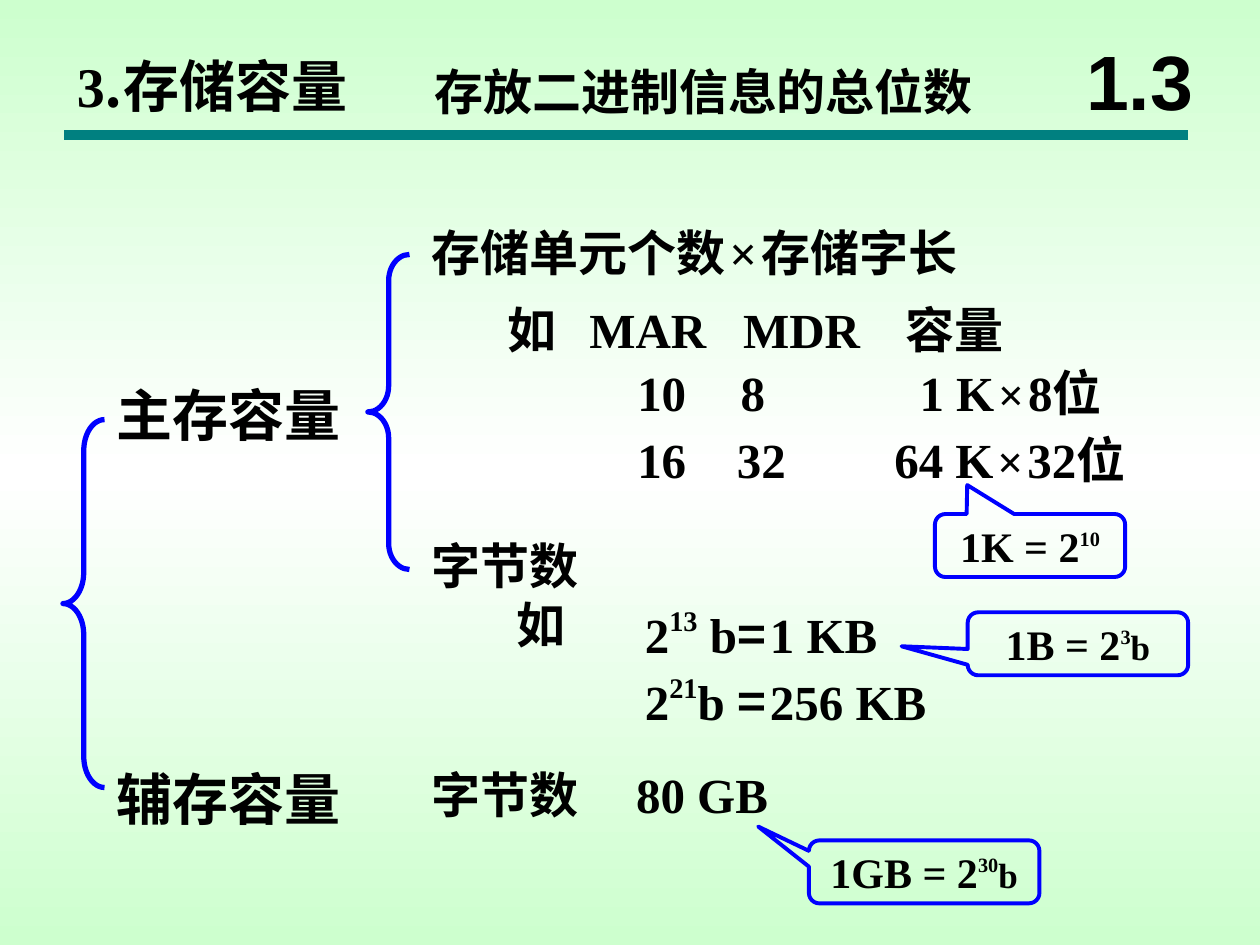
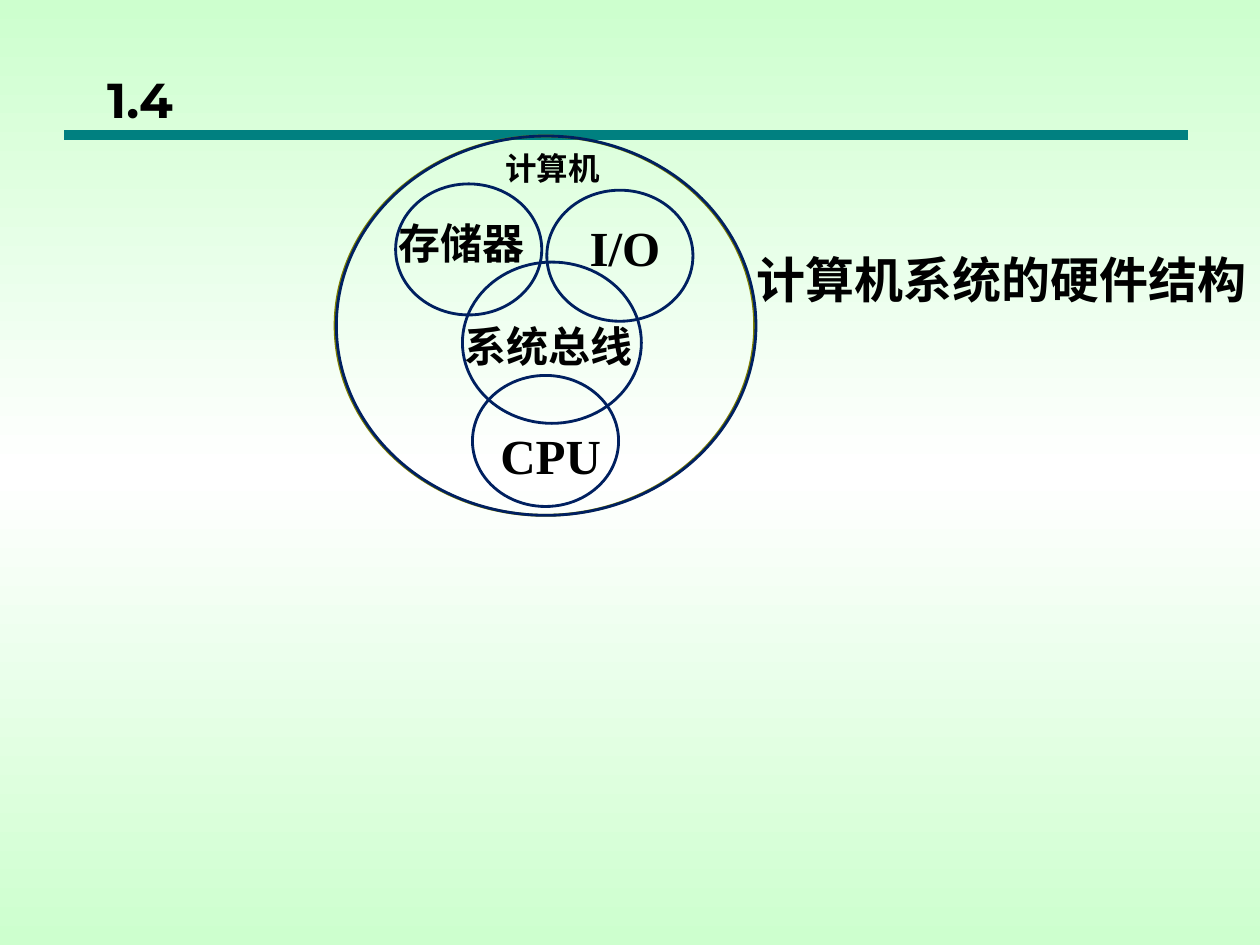
from copy import deepcopy
from dataclasses import dataclass

from lxml.etree import SubElement as Sub
from pptx import Presentation
from pptx.dml.color import RGBColor as RGB
from pptx.enum.shapes import MSO_CONNECTOR as Conn, MSO_SHAPE as Kind
from pptx.enum.text import MSO_ANCHOR as Anchor, MSO_AUTO_SIZE as Auto, PP_ALIGN as Align
from pptx.oxml.ns import qn
from pptx.util import Inches, Pt


@dataclass(frozen=True)
class Theme:
    """Colours, fonts and type sizes of the deck."""
    ink: RGB = RGB.from_string("000000")
    mint: RGB = RGB.from_string("CDFFCE")
    white: RGB = RGB.from_string("FFFFFF")
    teal: RGB = RGB.from_string("008080")
    blue: RGB = RGB.from_string("0000FF")
    navy: RGB = RGB.from_string("002060")
    olive: RGB = RGB.from_string("808000")
    cjk: str = "Noto Sans CJK SC"
    serif: str = "Times New Roman"
    sans: str = "Arial"
    round: str = "Montserrat"
    huge: int = 44
    head: int = 32
    body: int = 28
    note: int = 24
    power: int = 20
    label: int = 18
    gap: int = 9


T = Theme()


@dataclass(frozen=True)
class Bit:
    """A piece of text with one format."""
    text: str
    font: str = T.serif
    size: int = T.body
    up: bool = False


def cn(text, size=T.body):
    """Return a Chinese piece of text."""
    return Bit(text, T.cjk, size)


def place(box):
    """Turn left, top, width and height into lengths."""
    return [Inches(n) for n in box]


def write(shape, bits, align=Align.LEFT, anchor=Anchor.TOP, wrap=True, pad=True, tabs=()):
    """Write the bits as one paragraph of the shape."""
    frame = shape.text_frame
    frame.auto_size = Auto.NONE
    frame.word_wrap = wrap
    frame.vertical_anchor = anchor
    side, edge = (Inches(0.1), Inches(0.05)) if pad else (0, 0)
    frame.margin_left = frame.margin_right = side
    frame.margin_top = frame.margin_bottom = edge
    para = frame.paragraphs[0]
    para.alignment = align
    if tabs:
        stops = Sub(para._p.get_or_add_pPr(), qn("a:tabLst"))
        for pos in tabs:
            Sub(stops, qn("a:tab"), pos=str(Inches(pos)), algn="l")
    for bit in bits:
        run = para.add_run()
        run.text = bit.text
        run.font.size = Pt(bit.size)
        run.font.bold = True
        run.font.name = bit.font
        run.font.color.rgb = T.ink
        props = run._r.get_or_add_rPr()
        Sub(props, qn("a:ea"), typeface=bit.font)
        if bit.up:
            props.set("baseline", "45000")


def add_text(slide, box, *bits, **style):
    """Add a text box."""
    write(slide.shapes.add_textbox(*place(box)), bits, **style)


def add_title(slide, box, *bits, **style):
    """Move the title placeholder and fill it."""
    title = slide.shapes.title
    title.left, title.top, title.width, title.height = place(box)
    write(title, bits, **style)


def outline(slide, kind, box, color, width, adjust=()):
    """Add an unfilled preset shape."""
    shape = slide.shapes.add_shape(kind, *place(box))
    shape.shadow.inherit = False
    shape.fill.background()
    shape.line.color.rgb = color
    shape.line.width = Pt(width)
    for i, value in enumerate(adjust):
        shape.adjustments[i] = value
    return shape


def add_brace(slide, box, curl):
    """Add a blue left brace."""
    outline(slide, Kind.LEFT_BRACE, box, T.blue, 3, (curl, 0.5))


def add_note(slide, box, tip, base, power, unit=""):
    """Add a callout that states a power of two."""
    shape = outline(slide, Kind.ROUNDED_RECTANGULAR_CALLOUT, box, T.blue, 2.25, (*tip, 0.167))
    bits = [Bit(base, size=T.note), Bit(power, size=T.power, up=True)]
    if unit:
        bits.append(Bit(unit, size=T.power))
    write(shape, bits, Align.CENTER, Anchor.MIDDLE, wrap=False)


def add_ring(slide, box, color=T.navy):
    """Add an unfilled ellipse."""
    outline(slide, Kind.OVAL, box, color, 1.62)


def paint(master):
    """Give the master its mint and white gradient."""
    fill = master.background.fill
    fill.gradient()
    fill.gradient_angle = 90
    for stop in fill.gradient_stops:
        stop.color.rgb = T.mint
    stops = master.element.find(".//" + qn("a:gsLst"))
    mid = deepcopy(stops[0])
    mid.set("pos", "50000")
    stops.insert(1, mid)
    fill.gradient_stops[1].color.rgb = T.white


def new_slide(deck):
    """Add a titled slide with the teal rule."""
    slide = deck.slides.add_slide(deck.slide_layouts[5])
    ends = place((0.51, 1.07, 9.43, 1.07))
    rule = slide.shapes.add_connector(Conn.STRAIGHT, *ends)
    rule.line.color.rgb = T.teal
    rule.line.width = Pt(6)
    Sub(rule._element.spPr, qn("a:effectLst"))
    return slide


def add_sizes(deck):
    """Build the slide on storage capacity."""
    slide = new_slide(deck)
    gap = Bit(" ", size=T.gap)
    times = Bit("×", size=26)
    equal = cn("=")
    add_title(slide, (0.51, 0.36, 3.48, 0.64), Bit("3", size=T.head), cn(".存储容量", T.head))
    add_text(slide, (3.35, 0.44, 5.58, 0.57), cn("存放二进制信息的总位数"))
    add_text(slide, (8.42, 0.17, 1.25, 0.92), Bit("1.3", T.sans, T.huge),
             align=Align.CENTER, anchor=Anchor.MIDDLE)

    add_brace(slide, (0.5, 3.33, 0.33, 2.92), 0.75)
    add_brace(slide, (2.92, 2.02, 0.33, 2.5), 0.63)
    for top, name in ((2.97, "主存容量"), (6.02, "辅存容量")):
        add_text(slide, (0.83, top, 2.67, 0.64), cn(name, T.head))

    add_text(slide, (3.33, 1.72, 5.58, 0.57), cn("存储单元个数"), gap, Bit("×"), gap, cn("存储字长"))
    add_text(slide, (3.93, 2.33, 5.74, 0.57), cn("如"), Bit("\tMAR\tMDR\t"), cn("容量"),
             tabs=(0.65, 1.87, 3.16))
    rows = ((2.83, "10", "8", 0.82, 7.2, "1 K"), (3.36, "16", "32", 0.79, 7, "64 K"))
    for top, mar, mdr, tab, left, count in rows:
        add_text(slide, (4.96, top, 2, 0.57), Bit(f"{mar}\t{mdr}"), tabs=(tab,))
        add_text(slide, (left, top, 2.33, 0.57), Bit(count), gap, times, gap, Bit(mdr), cn("位"))

    add_text(slide, (3.33, 4.2, 2.3, 0.57), cn("字节数"))
    add_text(slide, (4, 4.67, 0.83, 0.57), cn("如"))
    for top, power, unit, total in ((4.74, "13", " b", "1 KB"), (5.27, "21", "b ", "256 KB")):
        add_text(slide, (5.02, top, 2.84, 0.58), Bit("2"), Bit(power, up=True), Bit(unit),
                 equal, gap, Bit(total))
    add_text(slide, (3.33, 6.02, 3.75, 0.57), cn("字节数"), Bit("\t80 GB"), tabs=(1.62,))

    add_note(slide, (7.42, 4.08, 1.51, 0.5), (-0.33, -0.96), "1K = 2", "10")
    add_note(slide, (7.68, 4.86, 1.75, 0.5), (-0.8, 0.04), "1B = 2", "3", "b")
    add_note(slide, (6.42, 6.67, 1.83, 0.5), (-0.72, -0.72), "1GB = 2", "30", "b")


def add_parts(deck):
    """Build the slide on hardware structure."""
    slide = new_slide(deck)
    add_title(slide, (0.75, -0.18, 8.5, 1.25), Bit("1.4", T.round), anchor=Anchor.BOTTOM)
    add_text(slide, (5.91, 1.93, 4.08, 0.57), cn("计算机系统的硬件结构"),
             align=Align.CENTER, wrap=False)
    add_ring(slide, (2.66, 1.08, 3.33, 3.01), T.olive)
    add_ring(slide, (2.67, 1.08, 3.33, 3.01))
    add_ring(slide, (3.67, 2.08, 1.42, 1.28))
    for left, top in ((3.14, 1.46), (4.34, 1.51), (3.75, 2.98)):
        add_ring(slide, (left, top, 1.16, 1.04))
    names = (
        ((4.01, 1.18, 0.75, 0.3), cn("计算机", T.label)),
        ((3.16, 1.73, 1, 0.4), cn("存储器", T.note)),
        ((4.55, 1.73, 0.82, 0.47), Bit("I/O")),
        ((3.69, 2.54, 1.33, 0.4), cn("系统总线", T.note)),
        ((3.97, 3.38, 0.8, 0.47), Bit("CPU")),
    )
    for box, name in names:
        add_text(slide, box, name, align=Align.CENTER, wrap=False, pad=False)


def main():
    """Build and save the deck."""
    deck = Presentation()
    deck.slide_width, deck.slide_height = Inches(10), Inches(7.5)
    paint(deck.slide_master)
    add_sizes(deck)
    add_parts(deck)
    deck.save("out.pptx")


if __name__ == "__main__":
    main()
